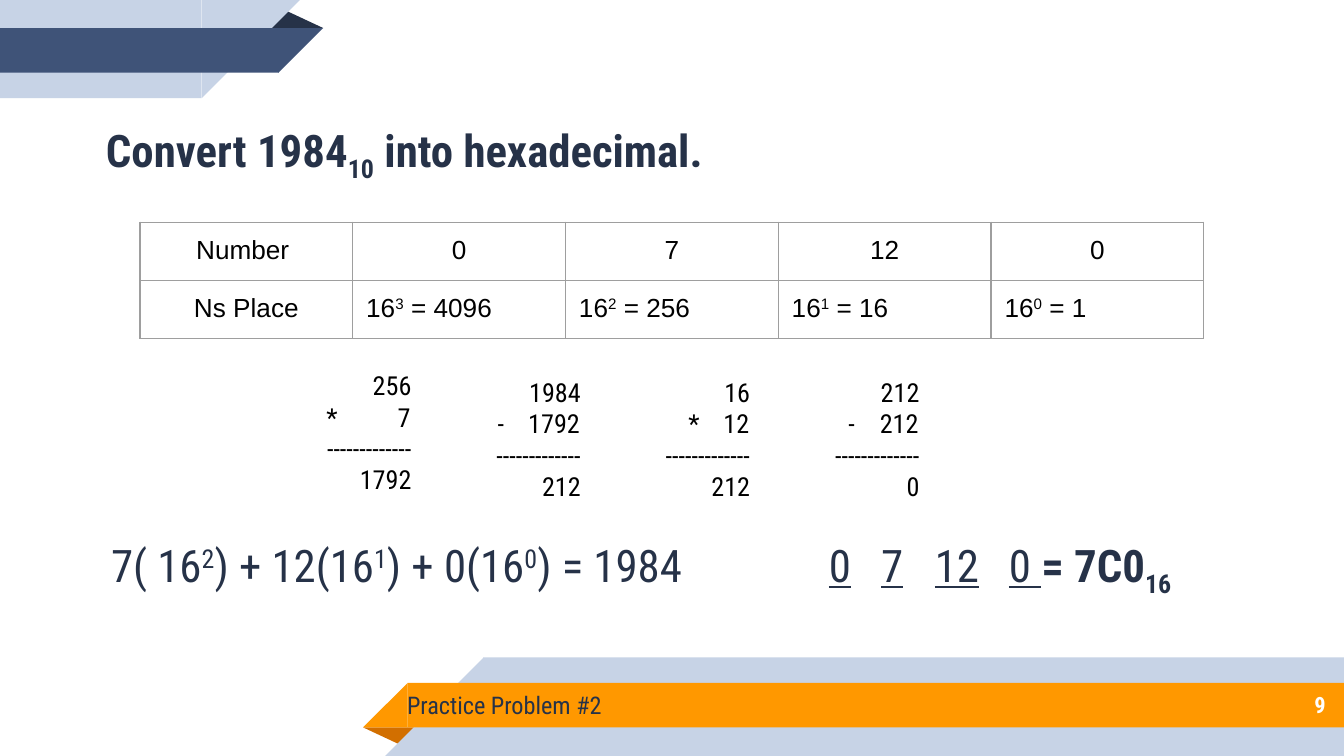
from typing import NamedTuple

from lxml import etree
from pptx import Presentation
from pptx.dml.color import RGBColor
from pptx.enum.shapes import MSO_SHAPE
from pptx.enum.text import MSO_ANCHOR, PP_ALIGN
from pptx.oxml.ns import qn
from pptx.util import Pt

RECTANGLE = MSO_SHAPE.RECTANGLE
RIGHT_TRIANGLE = MSO_SHAPE.RIGHT_TRIANGLE
TRIANGLE = MSO_SHAPE.ISOSCELES_TRIANGLE
LEFT, CENTER, RIGHT = PP_ALIGN.LEFT, PP_ALIGN.CENTER, PP_ALIGN.RIGHT
TOP, MIDDLE = MSO_ANCHOR.TOP, MSO_ANCHOR.MIDDLE

CONDENSED = "Roboto Condensed"
NAVY, BLUE, PALE = "263248", "3F5378", "C7D3E6"
ORANGE, RUST, BLACK, WHITE, GRAY = "FF9800", "D26F00", "000000", "FFFFFF", "9E9E9E"
INSET = 7.2
SUPER, SUB = 30, -25


class Ribbon(NamedTuple):
    kind: MSO_SHAPE
    left: float
    top: float
    width: float
    height: float
    color: str
    rotation: int = 0
    flipped: bool = False


class Span(NamedTuple):
    text: str
    baseline: int = 0
    bold: bool = False
    underline: bool = False


class Sum(NamedTuple):
    left: float
    top: float
    sign_stop: float
    lines: tuple


RIBBONS = [
    # Bottom banner
    Ribbon(TRIANGLE, 194.5, 389.7, 31, 9.8, RUST, 180),
    Ribbon(RECTANGLE, 259, 352.2, 461, 52.8, PALE),
    Ribbon(RIGHT_TRIANGLE, 206.4, 352.2, 52.8, 52.8, PALE, 0, True),
    Ribbon(RECTANGLE, 218.4, 365.9, 501.6, 23.8, ORANGE),
    Ribbon(RIGHT_TRIANGLE, 194.5, 365.9, 23.9, 23.8, ORANGE, 0, True),
    # Top banner
    Ribbon(TRIANGLE, 142.3, 5.3, 31, 9.8, NAVY),
    Ribbon(RECTANGLE, 0, 0, 108, 52.6, PALE),
    Ribbon(RIGHT_TRIANGLE, 108, 0, 52.6, 52.6, PALE, 180, True),
    Ribbon(RECTANGLE, 0, 15.1, 149.4, 23.8, BLUE),
    Ribbon(RIGHT_TRIANGLE, 149.2, 15.1, 23.8, 23.8, BLUE, 180, True),
]

DASHES = "-------------"
SUM_STEP = 90.72
SUM_LEFT = 161.28
SUMS = [
    Sum(SUM_LEFT, 190.8, 6.5, ("256", "\t*\t7", DASHES, "1792")),
    Sum(SUM_LEFT + SUM_STEP, 194.4, 7.5, ("1984", "\t-\t1792", DASHES, "212")),
    Sum(SUM_LEFT + 2 * SUM_STEP, 194.4, 19, ("16", "\t*\t12", DASHES, "212")),
    Sum(SUM_LEFT + 3 * SUM_STEP, 194.4, 14, ("212", "\t-\t212", DASHES, "0")),
]

DIGITS = ["0", "7", "12", "0"]
PLACES = [("3", "4096"), ("2", "256"), ("1", "16"), ("0", "1")]


def rgb(color: str) -> RGBColor:
    return RGBColor.from_string(color)


def draw_ribbon(page, ribbon: Ribbon) -> None:
    shape = page.shapes.add_shape(
        ribbon.kind, Pt(ribbon.left), Pt(ribbon.top), Pt(ribbon.width), Pt(ribbon.height))
    shape.shadow.inherit = False
    shape.fill.solid()
    shape.fill.fore_color.rgb = rgb(ribbon.color)
    shape.line.fill.background()
    shape.rotation = ribbon.rotation
    if ribbon.kind == TRIANGLE:
        shape.adjustments[0] = 0.324
    if ribbon.flipped:
        shape.element.spPr.find(qn("a:xfrm")).set("flipH", "1")


def write_spans(para, spans: list, size: float, color: str, font: str = CONDENSED) -> None:
    for span in spans:
        run = para.add_run()
        run.text = span.text
        run.font.name = font
        run.font.size = Pt(size)
        run.font.bold = span.bold
        run.font.underline = span.underline
        run.font.color.rgb = rgb(color)
        if span.baseline:
            run.font._element.set("baseline", str(span.baseline * 1000))


def add_box(page, left: float, top: float, width: float, height: float, anchor=TOP):
    box = page.shapes.add_textbox(Pt(left), Pt(top), Pt(width), Pt(height))
    frame = box.text_frame
    frame.word_wrap = True
    frame.vertical_anchor = anchor
    frame.margin_left = frame.margin_right = Pt(INSET)
    frame.margin_top = frame.margin_bottom = Pt(INSET)
    return frame


def set_tabs(para, stops: list) -> None:
    tabs = etree.SubElement(para._p.get_or_add_pPr(), qn("a:tabLst"))
    for position, side in stops:
        etree.SubElement(tabs, qn("a:tab"), pos=str(int(Pt(position))), algn=side)


def draw_line(page, place: tuple, spans: list, size: float, color: str,
              align=LEFT, anchor=MIDDLE):
    para = add_box(page, *place, anchor).paragraphs[0]
    para.alignment = align
    write_spans(para, spans, size, color)
    return para


def draw_sum(page, item: Sum) -> None:
    frame = add_box(page, item.left, item.top, 66.24, 67.7)
    frame.text = "\n".join(item.lines)
    for para in frame.paragraphs:
        para.alignment = RIGHT
        if "\t" in para.text:
            para.alignment = LEFT
            set_tabs(para, [(item.sign_stop, "l"), (51.6, "r")])
        for span in para.runs:
            span.font.name = CONDENSED
            span.font.size = Pt(14)
            span.font.color.rgb = rgb(BLACK)


def fill_cell(cell, spans: list, align) -> None:
    cell.fill.background()
    cell.margin_left = cell.margin_right = Pt(INSET)
    cell.margin_top = cell.margin_bottom = Pt(INSET)
    para = cell.text_frame.paragraphs[0]
    para.alignment = align
    write_spans(para, spans, 14, BLACK, "Arial")
    properties = cell._tc.get_or_add_tcPr()
    for index, side in enumerate(("lnL", "lnR", "lnT", "lnB")):
        border = etree.Element(qn("a:" + side), w=str(int(Pt(0.75))))
        fill = etree.SubElement(border, qn("a:solidFill"))
        etree.SubElement(fill, qn("a:srgbClr"), val=GRAY)
        properties.insert(index, border)


def draw_place_table(page) -> None:
    table = page.shapes.add_table(2, 5, Pt(75), Pt(119), Pt(570), Pt(60)).table
    table.first_row = table.horz_banding = False
    for row in table.rows:
        row.height = Pt(30)
    fill_cell(table.cell(0, 0), [Span("Number ")], CENTER)
    fill_cell(table.cell(1, 0), [Span("Ns Place")], CENTER)
    for column, (digit, (power, value)) in enumerate(zip(DIGITS, PLACES), start=1):
        fill_cell(table.cell(0, column), [Span(digit)], CENTER)
        fill_cell(table.cell(1, column),
                  [Span("16"), Span(power, SUPER), Span(f" = {value}")], LEFT)


def main() -> None:
    deck = Presentation()
    deck.slide_width, deck.slide_height = Pt(720), Pt(405)
    page = deck.slides.add_slide(deck.slide_layouts[6])

    for ribbon in RIBBONS:
        draw_ribbon(page, ribbon)

    # Footer and heading
    draw_line(page, (211, 365, 473, 25.2), [Span("Practice Problem #2")], 13, NAVY)
    draw_line(page, (599.8, 365, 117.4, 25.2), [Span("9", bold=True)], 12, WHITE, RIGHT)
    draw_line(page, (49.7, 55.4, 483, 53.3),
              [Span("Convert 1984", bold=True), Span("10", SUB, True),
               Span(" into hexadecimal.", bold=True)], 24, NAVY)

    # Working
    draw_place_table(page)
    for item in SUMS:
        draw_sum(page, item)

    # Results
    answer = []
    for digit in DIGITS[:-1]:
        answer += [Span("\t"), Span(digit, underline=True)]
    answer += [Span("\t"), Span("0 ", underline=True), Span("= 7C0", bold=True),
               Span("16", SUB, True), Span("\t", underline=True)]
    result = draw_line(page, (403.2, 280.8, 275.8, 41), answer, 24, NAVY, LEFT, TOP)
    set_tabs(result, [(stop, "l") for stop in (33.75, 61.75, 90.5, 130.25, 228)])
    check = draw_line(page, (34.6, 280.8, 355.7, 41),
                      [Span("7( 16"), Span("2", SUPER), Span(") + 12(16"), Span("1", SUPER),
                       Span(") + 0(16"), Span("0", SUPER), Span(") = 1984")],
                      24, NAVY, CENTER, TOP)
    for para in (result, check):
        para.space_before, para.space_after = Pt(6), Pt(10)

    deck.save("out.pptx")


if __name__ == "__main__":
    main()
